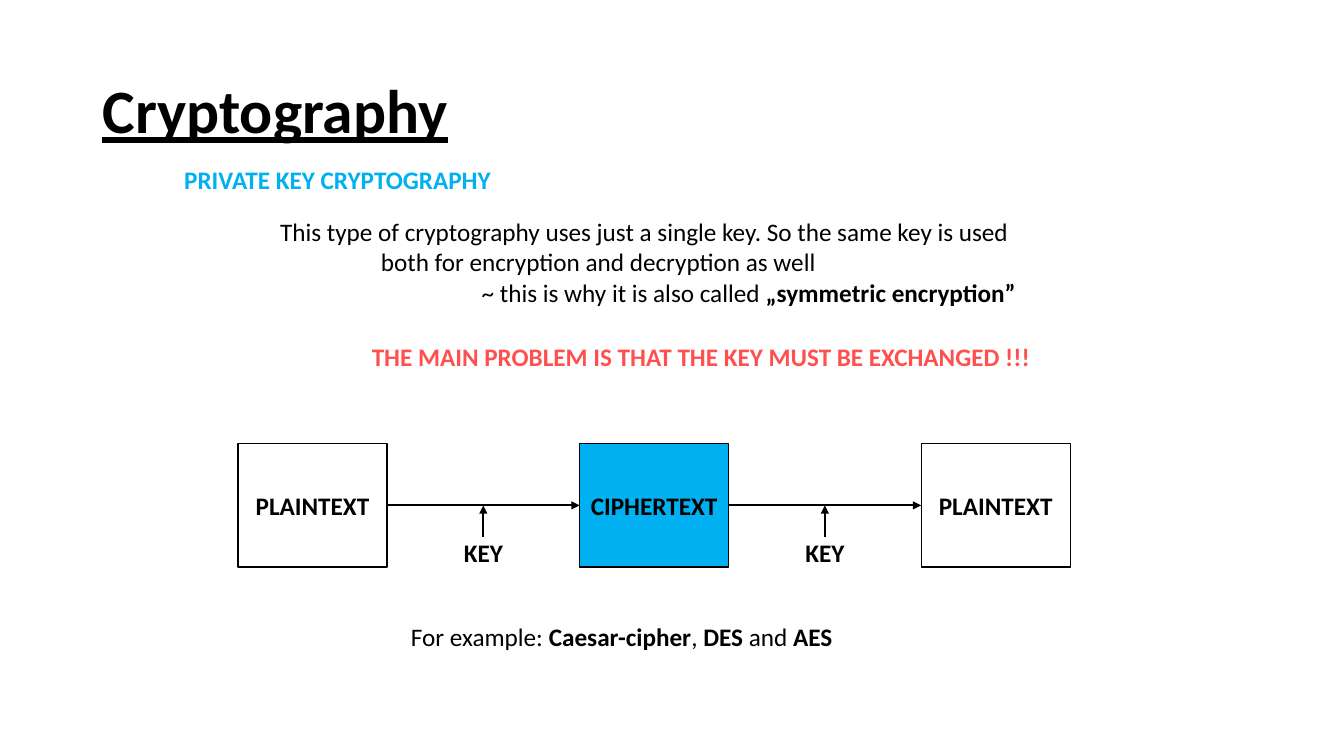
from dataclasses import dataclass

from lxml import etree
from pptx import Presentation
from pptx.dml.color import RGBColor
from pptx.enum.shapes import MSO_CONNECTOR, MSO_SHAPE
from pptx.enum.text import MSO_ANCHOR, MSO_AUTO_SIZE, PP_ALIGN
from pptx.oxml.ns import qn
from pptx.util import Pt

STRAIGHT = MSO_CONNECTOR.STRAIGHT
RECTANGLE = MSO_SHAPE.RECTANGLE
MIDDLE = MSO_ANCHOR.MIDDLE
GROW = MSO_AUTO_SIZE.SHAPE_TO_FIT_TEXT
LEFT, CENTER = PP_ALIGN.LEFT, PP_ALIGN.CENTER
RIGHT_SIDE, LEFT_SIDE = 3, 1
TITLE_ONLY = 5


@dataclass(frozen=True)
class Theme:
    """Colours, font and sizes of the deck."""
    ink: RGBColor = RGBColor(0, 0, 0)
    paper: RGBColor = RGBColor(255, 255, 255)
    accent: RGBColor = RGBColor(0, 176, 240)
    warning: RGBColor = RGBColor(255, 80, 80)
    font: str = "Calibri"
    title_size: int = 44
    body_size: int = 18
    outline: float = 1
    arrow: float = 1.5


THEME = Theme()


def add_span(para, text, color=THEME.ink, size=THEME.body_size, **extra):
    """Append formatted text to a paragraph."""
    span = para.add_run()
    span.text = text
    for name, value in {"name": THEME.font, "size": Pt(size), **extra}.items():
        setattr(span.font, name, value)
    span.font.color.rgb = color


def add_label(page, box, lines, color=THEME.ink, align=LEFT, step=0):
    """Add an unwrapped text box; each line of (text, bold) spans is indented one step more."""
    frame = page.shapes.add_textbox(*map(Pt, box)).text_frame
    frame.word_wrap = False
    frame.auto_size = GROW
    for index, spans in enumerate(lines):
        para = frame.add_paragraph() if index else frame.paragraphs[0]
        para.alignment = align
        if index and step:
            para._p.get_or_add_pPr().set("marL", str(Pt(step * index)))
        for text, bold in spans:
            add_span(para, text, color, bold=bold)


def add_title(page, box, text):
    """Place and format the title placeholder."""
    title = page.shapes.title
    title.left, title.top, title.width, title.height = map(Pt, box)
    title.text_frame.vertical_anchor = MIDDLE
    para = title.text_frame.paragraphs[0]
    para.alignment = LEFT
    para.line_spacing = 0.9
    add_span(para, text, size=THEME.title_size, bold=True, underline=True)


def add_arrow(page, start, end):
    """Draw an arrow between two points."""
    arrow = page.shapes.add_connector(STRAIGHT, *map(Pt, (*start, *end)))
    arrow.line.color.rgb = THEME.ink
    arrow.line.width = Pt(THEME.arrow)
    etree.SubElement(arrow.line._get_or_add_ln(), qn("a:tailEnd"), type="triangle")
    etree.SubElement(arrow._element.spPr, qn("a:effectLst"))
    return arrow


def add_node(page, box, text, fill):
    """Draw one labelled stage of the flow."""
    node = page.shapes.add_shape(RECTANGLE, *map(Pt, box))
    node.shadow.inherit = False
    node.fill.solid()
    node.fill.fore_color.rgb = fill
    node.line.color.rgb = THEME.ink
    node.line.width = Pt(THEME.outline)
    frame = node.text_frame
    frame.word_wrap = False
    frame.vertical_anchor = MIDDLE
    frame.paragraphs[0].alignment = CENTER
    add_span(frame.paragraphs[0], text, bold=True)
    return node


def add_cipher_flow(page, box, stages, key_text):
    """Spread the stages over the box and feed a key into each arrow between them."""
    left, top, width, height = box
    node_width = 106.5
    pitch = (width - node_width) / (len(stages) - 1)
    middle = top + height / 2
    key_width, key_height, key_gap = 42.5, 29, 22.5
    nodes = [
        add_node(page, (left + index * pitch, top, node_width, height), text, fill)
        for index, (text, fill) in enumerate(stages)
    ]
    for index, (source, target) in enumerate(zip(nodes, nodes[1:])):
        start = left + index * pitch + node_width
        end = left + (index + 1) * pitch
        arrow = add_arrow(page, (start, middle), (end, middle))
        arrow.begin_connect(source, RIGHT_SIDE)
        arrow.end_connect(target, LEFT_SIDE)
        center = (start + end) / 2
        add_arrow(page, (center, middle + key_gap), (center, middle))
        key_box = (center - key_width / 2, middle + key_gap - 3, key_width, key_height)
        add_label(page, key_box, [[(key_text, True)]], align=CENTER)


def build_page(deck):
    """Compose the private key cryptography slide."""
    page = deck.slides.add_slide(deck.slide_layouts[TITLE_ONLY])
    add_title(page, (66, 29, 828, 104.5), "Cryptography")
    add_label(page, (124.5, 114, 236, 29), [[("PRIVATE KEY CRYPTOGRAPHY", True)]], THEME.accent)
    add_label(page, (193, 151, 541, 72.5), [
        [("This type of cryptography uses just a single key. So the same key is used", False)],
        [("both for encryption and decryption as well", False)],
        [("~ this is why it is also called ", False), ("„symmetric encryption”", True)],
    ], step=72)
    add_label(page, (258.5, 240, 489.5, 29),
              [[("THE MAIN PROBLEM IS THAT THE KEY MUST BE EXCHANGED !!!", True)]], THEME.warning)
    add_cipher_flow(page, (170, 317, 594.5, 88), [
        ("PLAINTEXT", THEME.paper),
        ("CIPHERTEXT", THEME.accent),
        ("PLAINTEXT", THEME.paper),
    ], "KEY")
    add_label(page, (286.5, 440, 319, 29), [[
        ("For example: ", False), ("Caesar-cipher", True), (", ", False),
        ("DES", True), (" and ", False), ("AES", True),
    ]])


def main():
    """Create and save the deck."""
    deck = Presentation()
    deck.slide_width, deck.slide_height = Pt(960), Pt(540)
    build_page(deck)
    deck.save("out.pptx")


if __name__ == "__main__":
    main()
